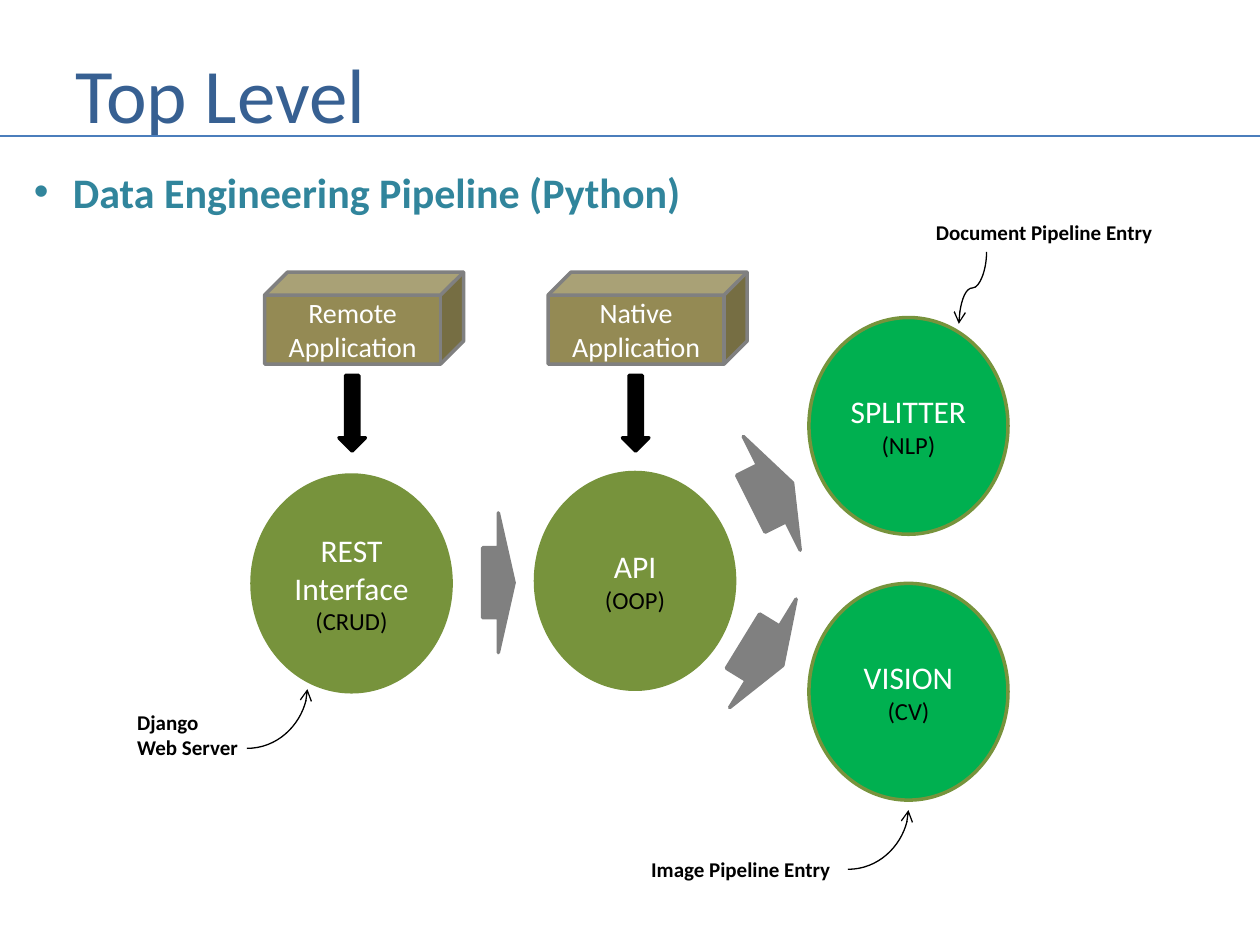
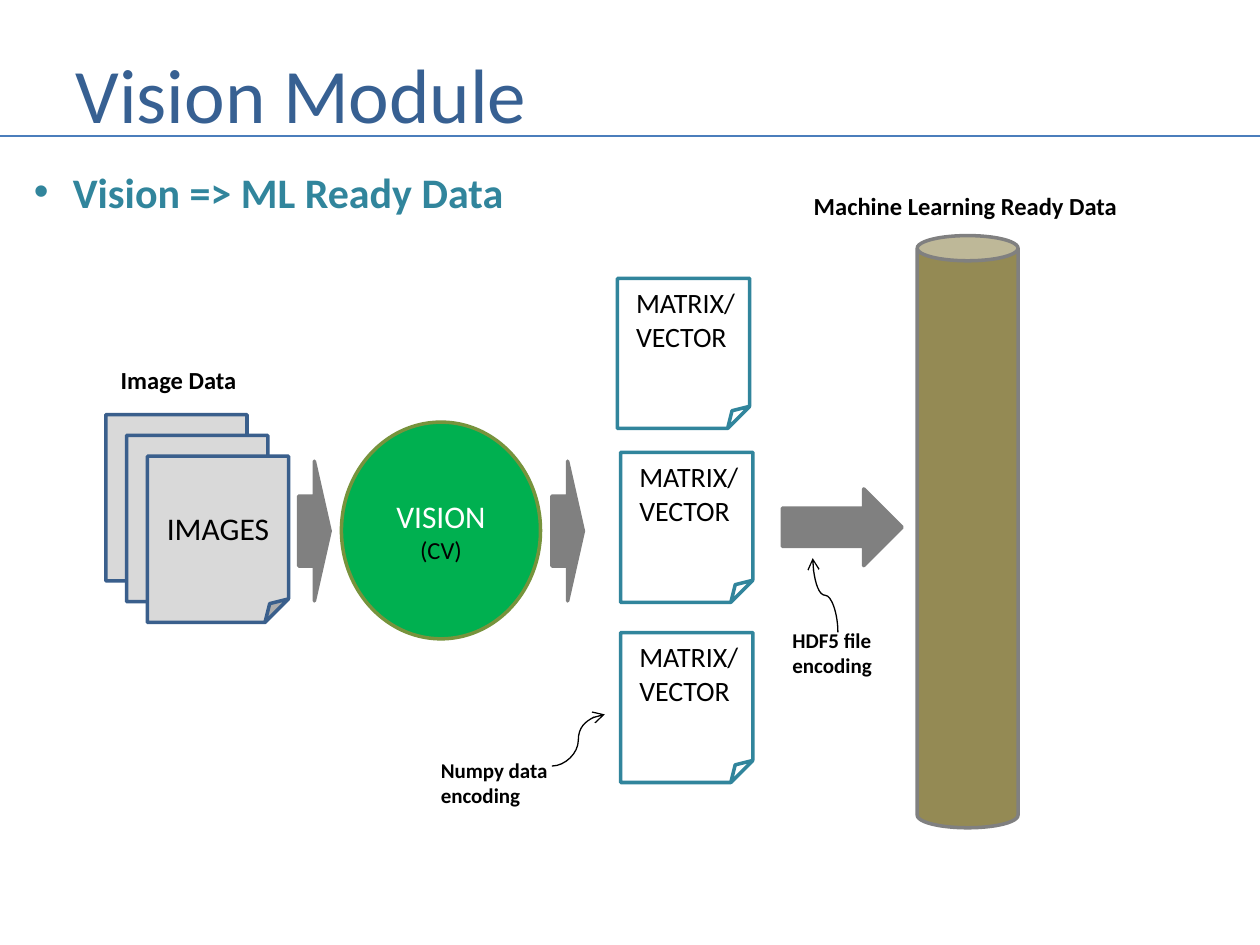
"""Build two slides on a data engineering pipeline, on a grid of 100 columns by 75 rows."""
from lxml import etree
from pptx import Presentation
from pptx.dml.color import RGBColor
from pptx.enum.shapes import MSO_CONNECTOR, MSO_SHAPE
from pptx.enum.text import MSO_ANCHOR, MSO_AUTO_SIZE, PP_ALIGN
from pptx.oxml.ns import qn
from pptx.util import Inches, Pt

FONT = "Calibri"
WHITE, BLACK, GRAY = "FFFFFF", "000000", "808080"
NAVY, RULE, TEAL = "376092", "4B7EBC", "31859C"
OLIVE, GREEN, KHAKI = "77933C", "00B050", "948A54"
PAPER, PAPER_EDGE = "D9D9D9", "3A5F8C"
CIRCLE = (15.8, 17.2)
BLOCK = (15.8, 7.3)
CHEVRON = (2.5, 11.1)
TURN = (3.7, 10.1)
PAGE = (11.2, 13.2)
SHEET = (10.5, 11.9)


def color(value):
    return RGBColor.from_string(value)


def grid(*cells):
    return [Inches(cell / 10) for cell in cells]


class Deck:
    def __init__(self):
        self.prs = Presentation()
        self.prs.slide_width, self.prs.slide_height = grid(100, 75)
        self.slide = None

    def start(self, title, topic):
        self.slide = self.prs.slides.add_slide(self.prs.slide_layouts[5])
        holder = self.slide.shapes.title
        holder.left, holder.top, holder.width, holder.height = grid(5, 3, 90.8, 8.7)
        holder.text_frame.vertical_anchor = MSO_ANCHOR.MIDDLE
        self.set_lines(holder, [(title, 44, NAVY)], PP_ALIGN.LEFT)
        self.line((0, 10.8), (100, 10.8), RULE, 1.5)
        heading = self.label(topic, (1.7, 12.7), (53.9, 5), 24, TEAL)
        props = heading.text_frame.paragraphs[0]._p.get_or_add_pPr()
        props.set("marL", str(Inches(0.31)))
        props.set("indent", str(Inches(-0.31)))
        etree.SubElement(props, qn("a:buFont"), typeface="Arial")
        etree.SubElement(props, qn("a:buChar"), char="•")

    def set_lines(self, shape, lines, align, bold=False):
        paragraph = shape.text_frame.paragraphs[0]
        paragraph.alignment = align
        for index, (text, size, ink) in enumerate(lines):
            if index:
                paragraph.add_line_break()
            run = paragraph.add_run()
            run.text = text
            run.font.name, run.font.size, run.font.bold = FONT, Pt(size), bold
            run.font.color.rgb = color(ink)

    def label(self, text, at, size, points=12, ink=BLACK, bold=True):
        box = self.slide.shapes.add_textbox(*grid(*at, *size))
        box.text_frame.word_wrap = False
        box.text_frame.auto_size = MSO_AUTO_SIZE.SHAPE_TO_FIT_TEXT
        lines = [(line, points, ink) for line in text.split("\n")]
        self.set_lines(box, lines, PP_ALIGN.LEFT, bold)
        return box

    def shape(self, kind, at, size, fill, edge, lines=(), turn=0):
        shape = self.slide.shapes.add_shape(kind, *grid(*at, *size))
        shape.shadow.inherit = False
        shape.rotation = turn
        if fill:
            shape.fill.solid()
            shape.fill.fore_color.rgb = color(fill)
        else:
            shape.fill.background()
        shape.line.color.rgb = color(edge)
        shape.line.width = Pt(2)
        shape.text_frame.vertical_anchor = MSO_ANCHOR.MIDDLE
        self.set_lines(shape, lines, PP_ALIGN.CENTER)

    def circle(self, names, note, at, fill):
        lines = [(name, 18, WHITE) for name in names.split("\n")]
        self.shape(MSO_SHAPE.OVAL, at, CIRCLE, fill, OLIVE, lines + [(note, 14, BLACK)])

    def arrow(self, at, size=CHEVRON, turn=0):
        self.shape(MSO_SHAPE.RIGHT_ARROW, at, size, GRAY, GRAY, turn=turn)

    def line(self, start, end, ink=BLACK, width=0.75, kind=MSO_CONNECTOR.STRAIGHT):
        line = self.slide.shapes.add_connector(kind, *grid(*start, *end))
        line.line.color.rgb = color(ink)
        line.line.width = Pt(width)
        etree.SubElement(line.element.spPr, qn("a:effectLst"))
        return line

    def curve(self, start, end, bend="curvedConnector3", upright=False):
        turn = 0
        if upright:
            (x1, y1), (x2, y2) = start, end
            sign = 1 if y2 > y1 else -1
            turn = 90 if sign > 0 else 270
            mid_x, mid_y = (x1 + x2) / 2, (y1 + y2) / 2
            half_x, half_y = sign * (y2 - y1) / 2, sign * (x1 - x2) / 2
            start = mid_x - half_x, mid_y - half_y
            end = mid_x + half_x, mid_y + half_y
        line = self.line(start, end, kind=MSO_CONNECTOR.CURVE)
        props = line.element.spPr
        props.find(qn("a:prstGeom")).set("prst", bend)
        if turn:
            props.find(qn("a:xfrm")).set("rot", str(turn * 60000))
        etree.SubElement(props.find(qn("a:ln")), qn("a:tailEnd"), type="arrow")

    def top_level(self):
        self.start("Top Level", "Data Engineering Pipeline (Python)")
        self.circle("REST\nInterface", "(CRUD)", (20, 37.7), OLIVE)
        self.circle("API", "(OOP)", (42.5, 37.5), OLIVE)
        self.circle("SPLITTER", "(NLP)", (64.2, 25.2), GREEN)
        self.circle("VISION", "(CV)", (64.2, 46.3), GREEN)
        self.arrow((38.3, 40.7))
        self.arrow((59.4, 34.1), TURN, 333.4)
        self.arrow((58.7, 46.8), TURN, 31.5)
        for column, name in enumerate(("Remote", "Native")):
            shift = 22.5 * column
            self.shape(MSO_SHAPE.DOWN_ARROW, (26.9 + shift, 29.8), (2.1, 6), BLACK, BLACK)
            self.shape(MSO_SHAPE.CUBE, (21 + shift, 21.6), BLOCK, KHAKI, GRAY,
                       [(name, 16, WHITE), ("Application", 16, WHITE)])
        self.label("Django\nWeb Server", (9.9, 55.8), (10.1, 5))
        self.label("Document Pipeline Entry", (73.3, 16.9), (19.4, 3))
        self.label("Image Pipeline Entry", (50.7, 67.5), (16.4, 3))
        self.curve((78.3, 20), (76.1, 25.7), upright=True)
        for x, y in ((19.6, 59.4), (67.3, 69)):
            self.curve((x, y), (x + 4.8, y - 4.7), "curvedConnector2")

    def vision_module(self):
        self.start("Vision Module", "Vision => ML Ready Data")
        self.label("Image Data", (8.6, 28.5), (11.3, 3.4), 14)
        for x in (23.7, 43.8):
            self.arrow((x, 36.6))
        self.arrow((62.1, 38.8), (9.5, 6.1))
        self.shape(MSO_SHAPE.CAN, (72.8, 18.7), (8, 47), KHAKI, GRAY)
        self.label("Machine Learning Ready Data", (63.6, 14.7), (26.2, 3.4), 14)
        self.circle("VISION", "(CV)", (27.1, 33.5), GREEN)
        for step, lines in enumerate(([], [], [("IMAGES", 18, BLACK)])):
            at = 8.4 + 1.65 * step, 32.9 + 1.65 * step
            self.shape(MSO_SHAPE.FOLDED_CORNER, at, PAGE, PAPER, PAPER_EDGE, lines)
        for x, y in ((49, 22.1), (49.25, 35.9), (49.25, 50.2)):
            self.shape(MSO_SHAPE.FOLDED_CORNER, (x, y), SHEET, None, TEAL)
            self.label("MATRIX/\nVECTOR", (x + 0.5, y + 0.1), (9.9, 6.4), 16, bold=False)
        self.label("HDF5 file\nencoding", (61.9, 49.3), (8.8, 5))
        self.label("Numpy data\nencoding", (34, 59.6), (10.6, 5))
        self.curve((66.5, 50.2), (64.5, 44.3), upright=True)
        self.curve((43.8, 60.8), (48, 56.7))


deck = Deck()
deck.top_level()
deck.vision_module()
deck.prs.save("out.pptx")
